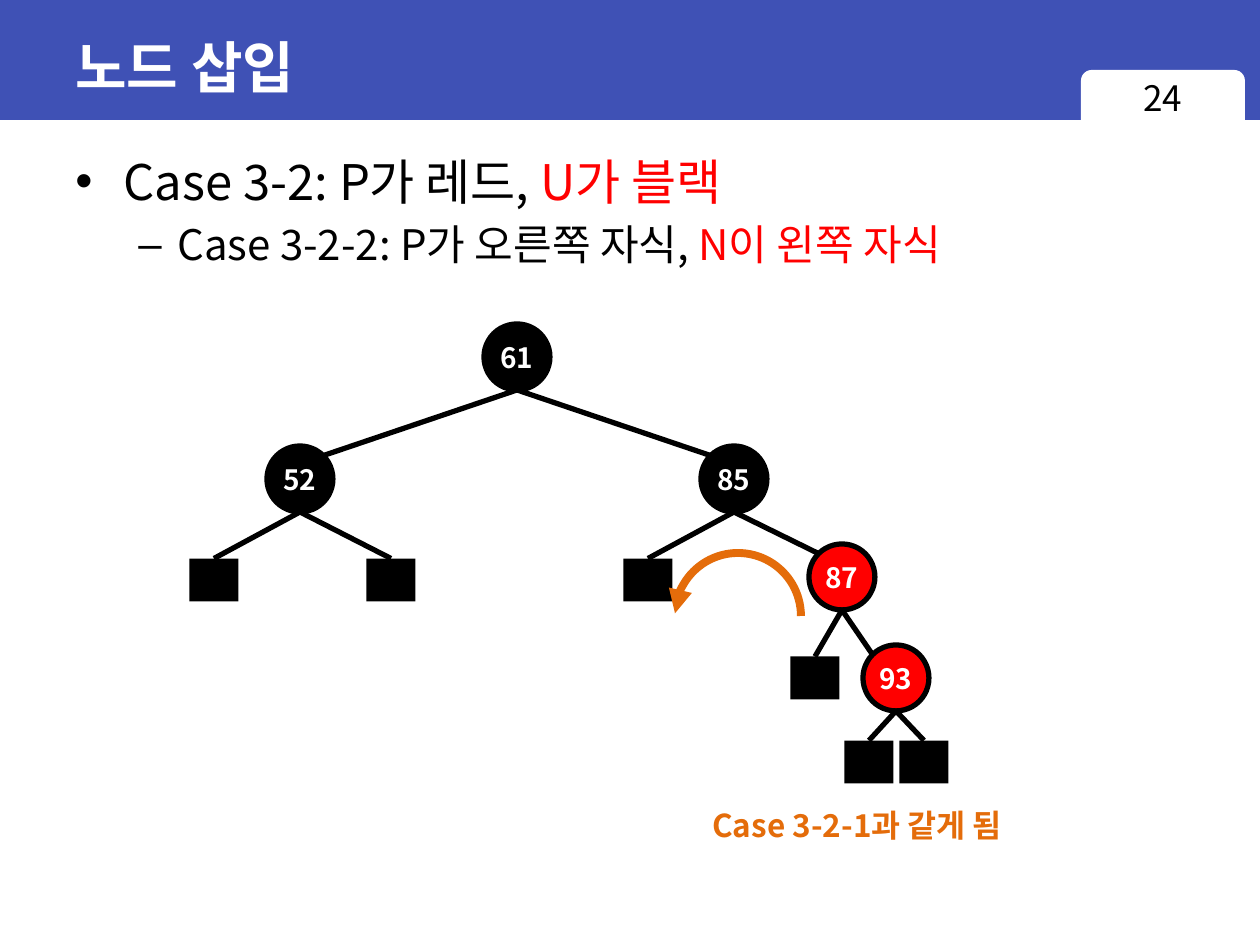
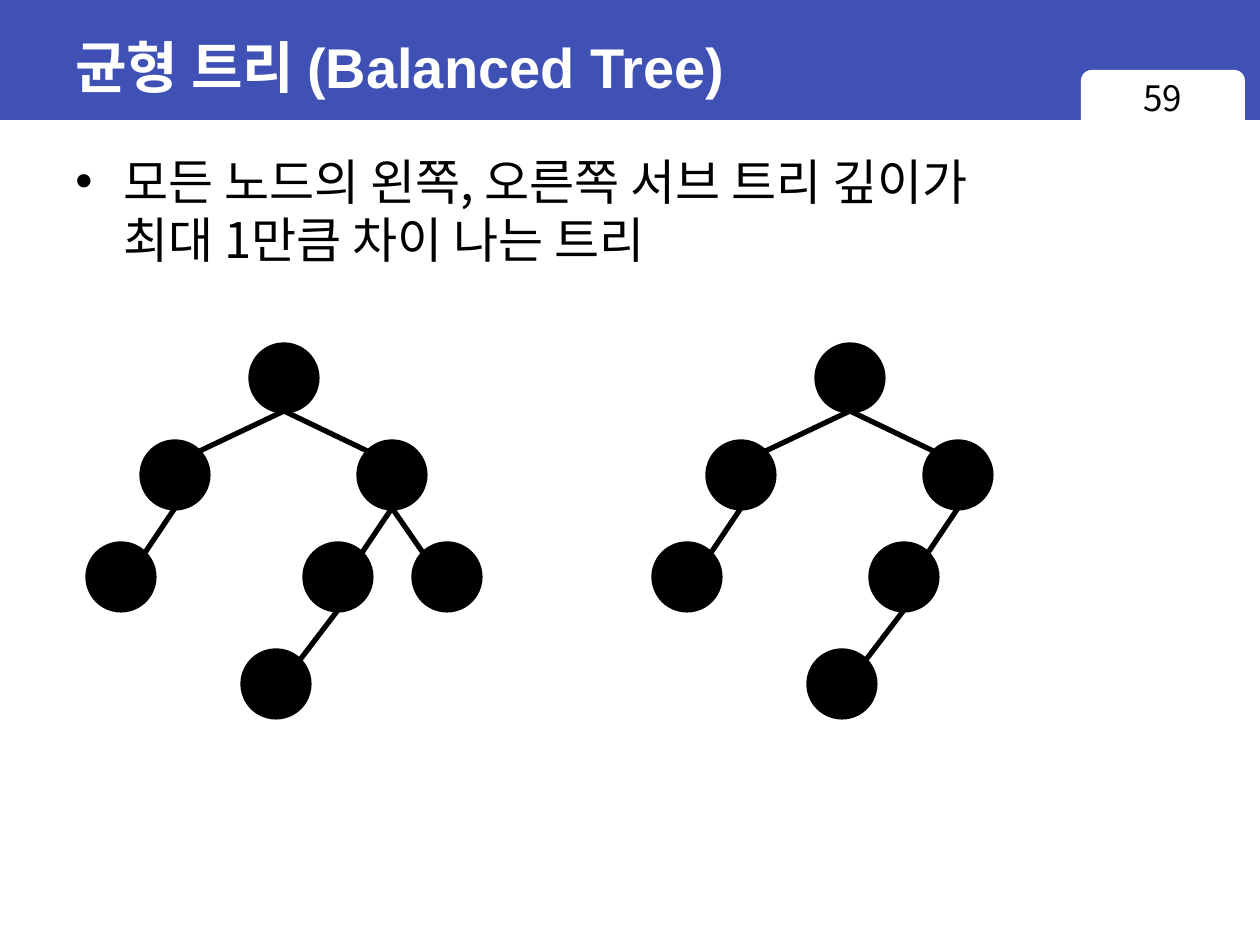
from collections import namedtuple

from lxml import etree
from pptx import Presentation
from pptx.dml.color import RGBColor
from pptx.enum.shapes import MSO_CONNECTOR, MSO_SHAPE
from pptx.enum.text import MSO_ANCHOR, PP_ALIGN
from pptx.oxml.ns import qn
from pptx.util import Emu, Pt

STRAIGHT = MSO_CONNECTOR.STRAIGHT
RECTANGLE = MSO_SHAPE.RECTANGLE
ROUNDED = MSO_SHAPE.ROUNDED_RECTANGLE
OVAL = MSO_SHAPE.OVAL
ARC = MSO_SHAPE.ARC
MIDDLE = MSO_ANCHOR.MIDDLE
TOP = MSO_ANCHOR.TOP
LEFT = PP_ALIGN.LEFT
CENTER = PP_ALIGN.CENTER

EMU_PER_PX = 914400 / 126
SLIDE_WIDTH, SLIDE_HEIGHT = 1260, 945
BAND_BOX = (0, 0, SLIDE_WIDTH, 120)
TAB_BOX = (1081, 70, 164, 64)
TITLE_BOX = (63, 14, 1134, 104)
BODY_BOX = (63, 145, 1182, 774)

COLORS = {
    "band": "3F51B5",
    "white": "FFFFFF",
    "black": "000000",
    "red": "FF0000",
    "orange": "E46C0A",
}
KOREAN_FONT = "Noto Sans CJK KR"
TITLE_FONT = "Arial"
LINE_HEIGHT = 1.2

NODE_SIZE = 66
LEAF_WIDTH, LEAF_HEIGHT = 49, 43
DIAGONAL = 0.71

BULLETS = [("•", 48, 48, 28), ("–", 102, 39, 24)]

Node = namedtuple("Node", "x y parent label fill", defaults=(None, "", "black"))
Leaf = namedtuple("Leaf", "x y parent")

INSERTION_NODES = {
    "61": Node(328, 33, None, "61"),
    "52": Node(111, 155, "61", "52"),
    "85": Node(545, 155, "61", "85"),
    "87": Node(653, 253, "85", "87", "red"),
    "93": Node(707, 354, "87", "93", "red"),
}
INSERTION_LEAVES = [
    Leaf(25, 256, "52"),
    Leaf(202, 256, "52"),
    Leaf(459, 256, "85"),
    Leaf(626, 354, "87"),
    Leaf(680, 438, "93"),
    Leaf(735, 438, "93"),
]
BALANCED_NODES = {
    "root": Node(196, 33),
    "left": Node(87, 130, "root"),
    "right": Node(304, 130, "root"),
    "left-left": Node(33, 232, "left"),
    "right-left": Node(250, 232, "right"),
    "right-right": Node(359, 232, "right"),
    "deepest": Node(188, 339, "right-left"),
}
UNBALANCED_NODES = {
    name: node for name, node in BALANCED_NODES.items() if name != "right-right"
}


def px(length):
    return Emu(round(length * EMU_PER_PX))


def color(name):
    return RGBColor.from_string(COLORS[name])


def add_run(paragraph, text, size, color_name, font=KOREAN_FONT, bold=False):
    run = paragraph.add_run()
    run.text = text
    run.font.size = Pt(size)
    run.font.bold = bold
    run.font.name = font
    run.font.color.rgb = color(color_name)
    east_asian = etree.SubElement(run.font._element, qn("a:ea"))
    east_asian.set("typeface", KOREAN_FONT)


def add_text_frame(slide, box, anchor=TOP, wrap=True):
    frame = slide.shapes.add_textbox(*map(px, box)).text_frame
    frame.word_wrap = wrap
    frame.vertical_anchor = anchor
    return frame


def add_filled(slide, kind, box, fill, outlined=False):
    shape = slide.shapes.add_shape(kind, *map(px, box))
    shape.shadow.inherit = False
    shape.fill.solid()
    shape.fill.fore_color.rgb = color(fill)
    if outlined:
        shape.line.color.rgb = color("black")
        shape.line.width = Pt(3)
    else:
        shape.line.fill.background()
    return shape


def add_header(slide, title, page_number):
    add_filled(slide, RECTANGLE, BAND_BOX, "band")
    add_filled(slide, ROUNDED, TAB_BOX, "white")
    title_frame = add_text_frame(slide, TITLE_BOX, MIDDLE)
    add_run(title_frame.paragraphs[0], title, 32, "white", TITLE_FONT, True)
    number = add_text_frame(slide, TAB_BOX).paragraphs[0]
    number.alignment = CENTER
    number.line_spacing = Pt(20 * LINE_HEIGHT)
    add_run(number, str(page_number), 20, "black")


def set_bullet(paragraph, character, margin, hanging):
    properties = paragraph._p.get_or_add_pPr()
    properties.set("marL", str(px(margin)))
    properties.set("indent", str(-px(hanging)))
    bullet_font = etree.SubElement(properties, qn("a:buFont"))
    bullet_font.set("typeface", TITLE_FONT)
    bullet = etree.SubElement(properties, qn("a:buChar"))
    bullet.set("char", character)


def add_body(slide, items):
    frame = add_text_frame(slide, BODY_BOX)
    for index, (level, runs) in enumerate(items):
        paragraph = frame.add_paragraph() if index else frame.paragraphs[0]
        character, margin, hanging, size = BULLETS[level]
        set_bullet(paragraph, character, margin, hanging)
        paragraph.level = level
        paragraph.alignment = LEFT
        paragraph.line_spacing = Pt(round(size * LINE_HEIGHT, 1))
        if index:
            paragraph.space_before = Pt(5)
        for text, color_name in runs:
            for line_index, line in enumerate(text.split("\n")):
                if line_index:
                    paragraph.add_line_break()
                add_run(paragraph, line, size, color_name)


def add_edge(slide, start, end):
    connector = slide.shapes.add_connector(STRAIGHT, *map(px, start + end))
    connector.line.color.rgb = color("black")
    connector.line.width = Pt(3)
    etree.SubElement(connector._element.spPr, qn("a:effectLst"))


def add_node(slide, left, top, node):
    radius = NODE_SIZE / 2
    box = (left + node.x - radius, top + node.y - radius, NODE_SIZE, NODE_SIZE)
    circle = add_filled(slide, OVAL, box, node.fill, outlined=True)
    if node.label:
        frame = circle.text_frame
        frame.margin_left = frame.margin_right = 0
        frame.vertical_anchor = MIDDLE
        paragraph = frame.paragraphs[0]
        paragraph.alignment = CENTER
        add_run(paragraph, node.label, 16, "white", bold=True)


def add_tree(slide, left, top, nodes, leaves=()):
    radius = NODE_SIZE / 2
    for child in [*nodes.values(), *leaves]:
        if child.parent is None:
            continue
        parent = nodes[child.parent]
        start = (left + parent.x, top + parent.y + radius)
        if isinstance(child, Leaf):
            end = (left + child.x, top + child.y - LEAF_HEIGHT / 2)
        else:
            side = 1 if child.x < parent.x else -1
            reach = radius * DIAGONAL
            end = (left + child.x + side * reach, top + child.y - reach)
        add_edge(slide, start, end)
    for leaf in leaves:
        corner = (left + leaf.x - LEAF_WIDTH / 2, top + leaf.y - LEAF_HEIGHT / 2)
        add_filled(slide, RECTANGLE, (*corner, LEAF_WIDTH, LEAF_HEIGHT), "black")
    for node in nodes.values():
        add_node(slide, left, top, node)


def add_rotation_arrow(slide, left, top, size):
    arc = slide.shapes.add_shape(ARC, *map(px, (left, top, size, size)))
    arc.shadow.inherit = False
    arc.adjustments[0] = 109.46
    arc.adjustments[1] = 0
    arc.fill.background()
    arc.line.color.rgb = color("orange")
    arc.line.width = Pt(4.5)
    arrowhead = etree.SubElement(arc.line._get_or_add_ln(), qn("a:headEnd"))
    arrowhead.set("type", "triangle")


def add_caption(slide, box, text):
    paragraph = add_text_frame(slide, box, wrap=False).paragraphs[0]
    paragraph.line_spacing = Pt(round(18 * LINE_HEIGHT, 1))
    add_run(paragraph, text, 18, "orange", bold=True)


def build_insertion_slide(slide):
    add_header(slide, "노드 삽입", 24)
    add_body(slide, [
        (0, [("Case 3-2: P가 레드, ", "black"), ("U가 블랙", "red")]),
        (1, [("Case 3-2-2: P가 오른쪽 자식, ", "black"), ("N이 왼쪽 자식", "red")]),
    ])
    add_tree(slide, 189, 324, INSERTION_NODES, INSERTION_LEAVES)
    add_caption(slide, (700, 800, 338, 50), "Case 3-2-1과 같게 됨")
    add_rotation_arrow(slide, 675, 553, 126)


def build_balanced_slide(slide):
    add_header(slide, "균형 트리 (Balanced Tree)", 59)
    add_body(slide, [
        (0, [("모든 노드의 왼쪽, 오른쪽 서브 트리 깊이가\n최대 1만큼 차이 나는 트리", "black")]),
    ])
    add_tree(slide, 88, 345, BALANCED_NODES)
    add_tree(slide, 654, 345, UNBALANCED_NODES)


def main():
    presentation = Presentation()
    presentation.slide_width = px(SLIDE_WIDTH)
    presentation.slide_height = px(SLIDE_HEIGHT)
    blank = presentation.slide_layouts[6]
    for build in (build_insertion_slide, build_balanced_slide):
        build(presentation.slides.add_slide(blank))
    presentation.save("out.pptx")


if __name__ == "__main__":
    main()
